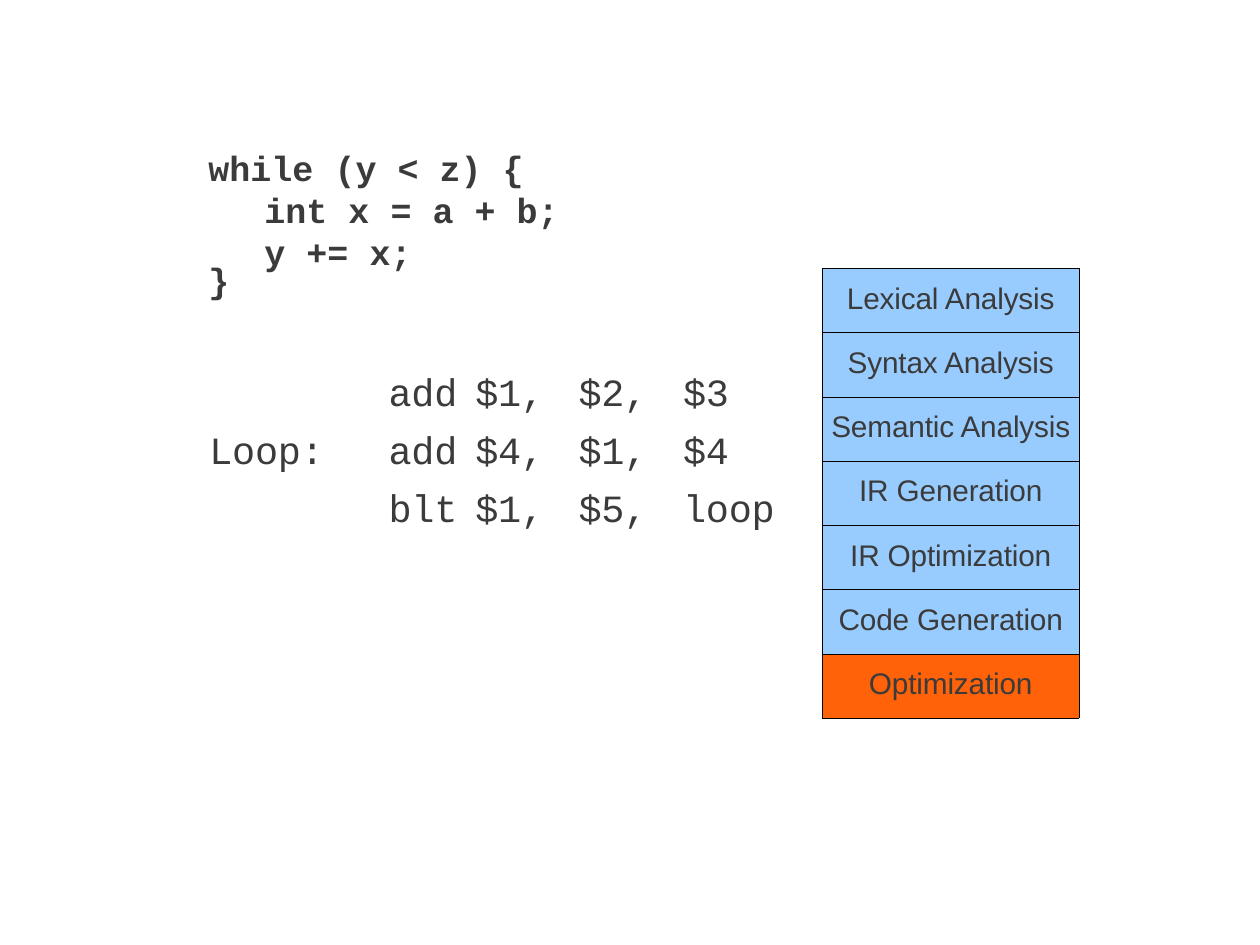
"""Build a slide showing a loop, its assembly code and the compiler phases."""
from dataclasses import dataclass

from lxml.etree import SubElement
from pptx import Presentation
from pptx.dml.color import RGBColor as RGB
from pptx.enum.text import PP_ALIGN as AL
from pptx.oxml.ns import qn
from pptx.util import Pt

SOURCE = [
    ("while (y < z) {", 1, 0.94),
    ("int x = a + b;", 33, 0.94),
    ("y += x;", 33, 0.94),
    ("}", 1, Pt(15.4)),
]
ASSEMBLY = [
    ("", "add", "$1,", "$2,", "$3"),
    ("Loop:", "add", "$4,", "$1,", "$4"),
    ("", "blt", "$1,", "$5,", "loop"),
]
COLUMNS = [
    (84.2, AL.LEFT, 2.2),
    (59.8, AL.RIGHT, 0),
    (59.8, AL.CENTER, 0),
    (59.8, AL.LEFT, 9.4),
    (69.1, AL.LEFT, 9.4),
]
PHASES = ["Lexical Analysis", "Syntax Analysis", "Semantic Analysis", "IR Generation",
          "IR Optimization", "Code Generation", "Optimization"]
CURRENT = "Optimization"


@dataclass(frozen=True)
class Theme:
    ink: RGB = RGB(0x3B, 0x3B, 0x3B)
    phase: RGB = RGB(0x98, 0xCC, 0xFF)
    current: RGB = RGB(0xFF, 0x62, 0x08)
    border: str = "000000"
    border_width: float = 0.25
    sans: str = "Arial"
    mono: str = "Courier New"
    phase_size: float = 17
    assembly_size: float = 22
    source_size: float = 20
    tracking: str = "-10"


T = Theme()


def style(p, font, size, bold=False, indent=0, tracking=None):
    p._p.get_or_add_pPr().set("marL", str(Pt(indent)))
    for r in p.runs:
        r.font.name, r.font.size, r.font.bold = font, Pt(size), bold
        r.font.color.rgb = T.ink
        if tracking:
            r._r.get_or_add_rPr().set("spc", tracking)


def add_plain_table(s, rows, widths, left, top, row_height):
    table = s.shapes.add_table(rows, len(widths), Pt(left), Pt(top),
                               Pt(sum(widths)), Pt(rows * row_height)).table
    table.first_row = table.horz_banding = False
    for column, width in zip(table.columns, widths):
        column.width = Pt(width)
    for row in table.rows:
        row.height = Pt(row_height)
    return table


def set_cell(cell, text, align, top=0):
    cell.margin_left = cell.margin_right = cell.margin_bottom = 0
    cell.margin_top = Pt(top)
    cell.text = text
    p = cell.text_frame.paragraphs[0]
    p.alignment = align
    return p


def add_borders(cell):
    tc_pr = cell._tc.get_or_add_tcPr()
    for side in ("lnL", "lnR", "lnT", "lnB"):
        ln = SubElement(tc_pr, qn(f"a:{side}"), w=str(Pt(T.border_width)))
        SubElement(SubElement(ln, qn("a:solidFill")), qn("a:srgbClr"), val=T.border)


def add_phases(s):
    table = add_plain_table(s, len(PHASES), [146.9], 469.8, 153.3, 36.72)
    for i, phase in enumerate(PHASES):
        cell = table.cell(i, 0)
        p = set_cell(cell, phase, AL.CENTER, top=7.9)
        style(p, T.sans, T.phase_size, tracking=T.tracking)
        add_borders(cell)
        cell.fill.solid()
        cell.fill.fore_color.rgb = T.current if phase == CURRENT else T.phase


def add_assembly(s):
    widths = [width for width, _, _ in COLUMNS]
    table = add_plain_table(s, len(ASSEMBLY), widths, 117.4, 205.9, 31.4)
    for i, line in enumerate(ASSEMBLY):
        for j, (text, (_, align, indent)) in enumerate(zip(line, COLUMNS)):
            cell = table.cell(i, j)
            p = set_cell(cell, text, align)
            p.line_spacing = Pt(33)
            style(p, T.mono, T.assembly_size, indent=indent, tracking=T.tracking)
            cell.fill.background()


def add_source(s):
    tf = s.shapes.add_textbox(Pt(118.1), Pt(84.2), Pt(259.9), Pt(91.4)).text_frame
    tf.word_wrap = True
    tf.margin_left = tf.margin_right = tf.margin_bottom = 0
    tf.margin_top = Pt(1.4)
    tf.text = "\n".join(text for text, _, _ in SOURCE)
    for i, (p, (_, indent, spacing)) in enumerate(zip(tf.paragraphs, SOURCE)):
        p.line_spacing = spacing
        p.space_before = Pt(1.6 if 0 < i < len(SOURCE) - 1 else 0)
        style(p, T.mono, T.source_size, bold=True, indent=indent)


def main():
    prs = Presentation()
    prs.slide_width, prs.slide_height = Pt(720), Pt(540)
    s = prs.slides.add_slide(prs.slide_layouts[6])
    add_phases(s)
    add_assembly(s)
    add_source(s)
    prs.save("out.pptx")


if __name__ == "__main__":
    main()
